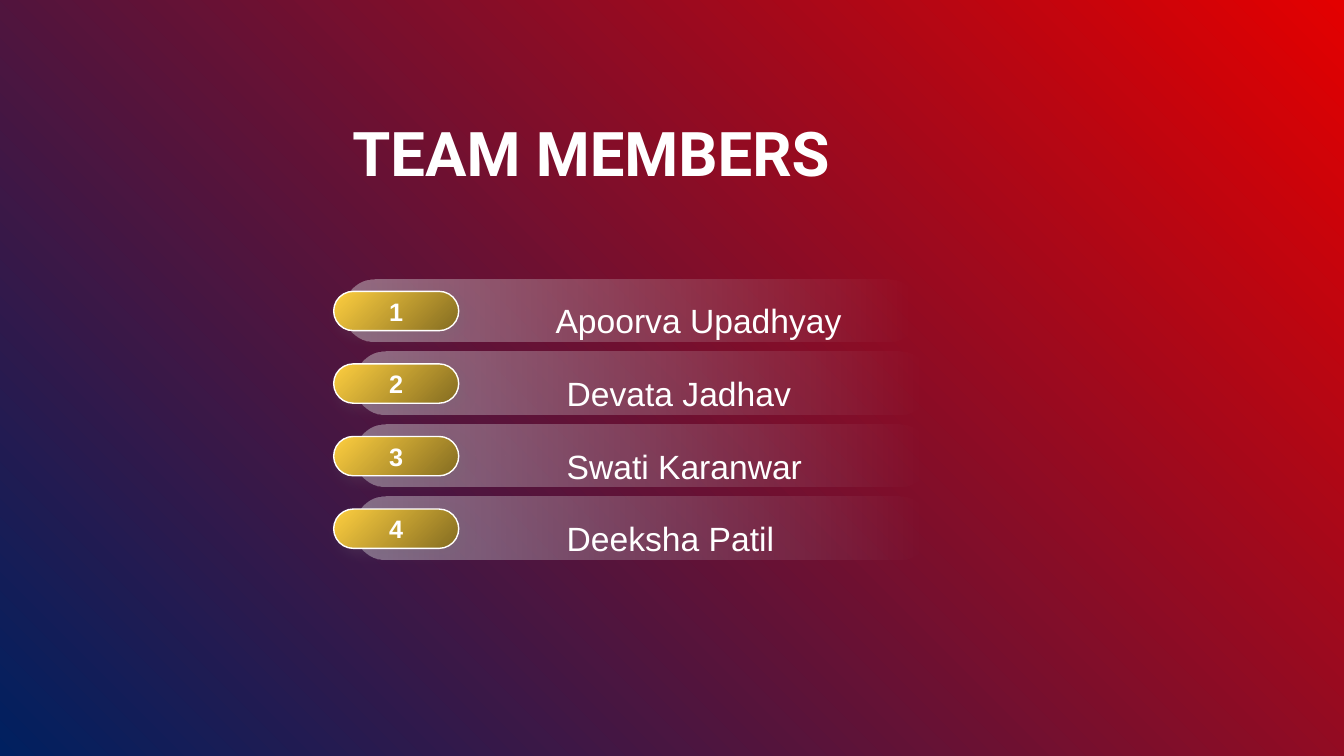
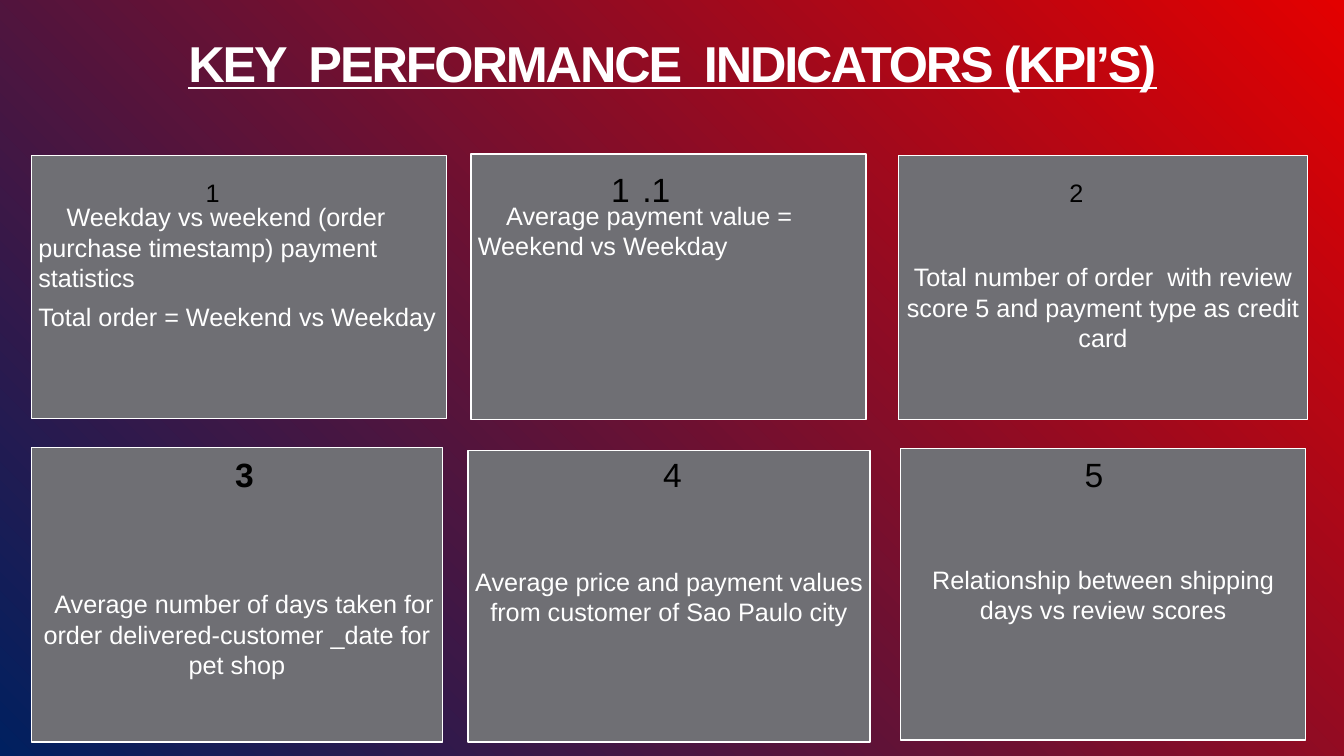
from pptx import Presentation
from pptx.dml.color import RGBColor
from pptx.enum.shapes import MSO_SHAPE as Preset
from pptx.enum.text import MSO_ANCHOR as Anchor, MSO_AUTO_SIZE as AutoSize, PP_ALIGN as Align
from pptx.oxml import parse_xml
from pptx.oxml.ns import nsdecls, qn
from pptx.util import Inches, Pt

RED = RGBColor(0xE3, 0x00, 0x00)
NAVY = RGBColor(0x00, 0x20, 0x60)
WHITE = RGBColor(0xFF, 0xFF, 0xFF)
BLACK = RGBColor(0x00, 0x00, 0x00)
SILVER = RGBColor(0xE2, 0xE2, 0xE3)
GREY = RGBColor(0x6F, 0x6F, 0x74)
GOLD = RGBColor(0xFE, 0xCF, 0x40)
BRONZE = RGBColor(0x84, 0x6C, 0x21)

PADDING = 0.07
EMPTY_LINE = 0.39  # height of one 18 pt line with its gap

MEMBERS = ["Apoorva Upadhyay", "Devata Jadhav", "Swati Karanwar", "Deeksha Patil"]
MEMBER_STEP = 0.72

# place, paragraphs, alignment, anchor, lines left free on top, first-line indent
CARDS = [
    ((0.31, 1.54, 4.12, 2.61),
     ["Weekday vs weekend (order purchase timestamp) payment statistics",
      "Total order = Weekend vs Weekday"], Align.LEFT, Anchor.TOP, 1, 0.28),
    ((4.67, 1.53, 3.92, 2.63),
     ["Average payment value =  Weekend vs Weekday"], Align.LEFT, Anchor.TOP, 1, 0.28),
    ((8.91, 1.54, 4.06, 2.62),
     ["Total number of order  with review score 5 and payment type as credit card"],
     Align.CENTER, Anchor.MIDDLE, 1, 0),
    ((0.31, 4.44, 4.08, 2.92),
     ["Average number of days taken for order delivered-customer _date for pet shop"],
     Align.CENTER, Anchor.MIDDLE, 2, 0.14),
    ((4.64, 4.47, 3.99, 2.89),
     ["Average price and payment values from customer of Sao Paulo city"],
     Align.CENTER, Anchor.MIDDLE, 0, 0),
    ((8.93, 4.45, 4.02, 2.89),
     ["Relationship between shipping days vs review scores"],
     Align.CENTER, Anchor.MIDDLE, 0, 0),
]

# place, text, size, bold, alignment
CARD_NUMBERS = [
    ((10.19, 1.71, 0.97, 0.4), "2", 18, False, Align.CENTER),
    ((2.15, 4.45, 0.55, 0.5), "3", 24, True, Align.CENTER),
    ((6.39, 4.45, 0.56, 0.5), "4", 24, False, Align.CENTER),
    ((10.42, 4.45, 0.86, 0.5), "5", 24, False, Align.CENTER),
    ((1.94, 1.71, 0.39, 0.4), "1", 18, False, Align.LEFT),
]


def set_gradient(fill, colours, angle=0):
    """Fill with a two-colour gradient; the angle runs counter-clockwise."""
    fill.gradient()
    fill.gradient_angle = angle
    for stop, colour in zip(fill.gradient_stops, colours):
        stop.color.rgb = colour


class Deck:
    def __init__(self):
        self.deck = Presentation()
        self.deck.slide_width, self.deck.slide_height = Inches(13.33), Inches(7.5)
        self.page = None

    def add_page(self):
        """Start a slide whose background spreads from the top right corner."""
        self.page = self.deck.slides.add_slide(self.deck.slide_layouts[6])
        fill = self.page.background.fill
        set_gradient(fill, (RED, NAVY))
        background = self.page.background._cSld.find(".//" + qn("a:gradFill"))
        background.replace(background.find(qn("a:lin")), parse_xml(
            f'<a:path {nsdecls("a")} path="circle"><a:fillToRect l="100000" b="100000"/></a:path>'))

    def style(self, para, size, colour=WHITE, bold=False, font="Arial", align=Align.LEFT):
        para.alignment = align
        for span in para.runs:
            span.font.name, span.font.size = font, Pt(size)
            span.font.bold, span.font.color.rgb = bold, colour

    def margins(self, frame, left=0, top=0, right=0, bottom=0):
        frame.word_wrap = True
        frame.margin_left, frame.margin_top = Inches(left), Inches(top)
        frame.margin_right, frame.margin_bottom = Inches(right), Inches(bottom)

    def label(self, place, text, size, **look):
        box = self.page.shapes.add_textbox(*map(Inches, place))
        frame = box.text_frame
        frame.word_wrap = True
        frame.text = text
        self.style(frame.paragraphs[0], size, **look)
        return frame

    def title(self, place, text, size, **look):
        frame = self.label(place, text, size, bold=True, align=Align.CENTER, **look)
        frame.vertical_anchor = Anchor.MIDDLE
        return frame.paragraphs[0].runs[0]

    def number(self, place, text, size, bold, align):
        frame = self.label(place, text, size, colour=BLACK, bold=bold, align=align)
        frame.auto_size = AutoSize.SHAPE_TO_FIT_TEXT
        return frame

    def shape(self, preset, place):
        shape = self.page.shapes.add_shape(preset, *map(Inches, place))
        shape.shadow.inherit = False
        return shape

    def capsule(self, place, text, colours, angle, left=0):
        """Fully rounded bar with a gradient and one line of text."""
        shape = self.shape(Preset.ROUNDED_RECTANGLE, place)
        shape.adjustments[0] = 0.5
        set_gradient(shape.fill, colours, angle)
        frame = shape.text_frame
        self.margins(frame, left)
        frame.vertical_anchor = Anchor.MIDDLE
        frame.text = text
        return shape, frame.paragraphs[0]

    def name_bar(self, place, name):
        shape, para = self.capsule(place, name, (SILVER, SILVER), 180, left=2.01)
        shape.line.fill.background()
        self.style(para, 24)
        para.line_spacing = 1.5
        stops = shape._element.spPr.iter(qn("a:srgbClr"))
        for colour, alpha in zip(stops, (0, 44000)):
            colour.append(parse_xml(f'<a:alpha {nsdecls("a")} val="{alpha}"/>'))

    def badge(self, place, text):
        shape, para = self.capsule(place, text, (GOLD, BRONZE), 315)
        shape.line.color.rgb, shape.line.width = WHITE, Pt(1)
        self.style(para, 18, bold=True, align=Align.CENTER)
        shape._element.spPr.find(qn("a:effectLst")).append(parse_xml(
            f'<a:outerShdw {nsdecls("a")} blurRad="{Pt(10)}" dist="{Pt(5)}" dir="2700000">'
            f'<a:srgbClr val="{GREY}"><a:alpha val="20000"/></a:srgbClr></a:outerShdw>'))

    def card(self, place, texts, align, anchor, free_lines, indent):
        shape = self.shape(Preset.RECTANGLE, place)
        shape.fill.solid()
        shape.fill.fore_color.rgb = GREY
        shape.line.color.rgb, shape.line.width = WHITE, Pt(1)
        frame = shape.text_frame
        self.margins(frame, PADDING, PADDING + free_lines * EMPTY_LINE, PADDING, PADDING)
        frame.vertical_anchor = anchor
        frame.text = "\n".join(texts)
        for para in frame.paragraphs:
            self.style(para, 18, align=align)
            para.space_after = Pt(6.5)
        first = frame.paragraphs[0]._p.get_or_add_pPr()
        first.set("marL", "0")
        first.set("indent", str(Inches(indent)))


def add_team(deck):
    deck.add_page()
    for index, name in enumerate(MEMBERS):
        left = 3.52 if index else 3.41
        deck.name_bar((left, 2.77 + index * MEMBER_STEP, 5.71, 0.62), name)
    for index in range(len(MEMBERS)):
        deck.badge((3.31, 2.89 + index * MEMBER_STEP, 1.24, 0.39), str(index + 1))
    deck.title((2.05, 1.16, 7.63, 0.69), "TEAM MEMBERS", 44, font="Roboto")


def add_indicators(deck):
    deck.add_page()
    heading = deck.title((0.92, 0.24, 11.5, 0.76), "KEY  PERFORMANCE  INDICATORS (KPI’S)", 36)
    heading.font.underline = True
    heading._r.get_or_add_rPr().set("spc", "-150")
    for card in CARDS:
        deck.card(*card)
    for number in CARD_NUMBERS:
        deck.number(*number)

    frame = deck.number((5.88, 1.52, 0.95, 0.64), "1", 24, False, Align.CENTER)
    para = frame.paragraphs[0]
    for text in (" ", ".1"):
        para.add_run().text = text
    deck.style(para, 24, colour=BLACK, align=Align.CENTER)
    para.runs[1].font.size = Pt(32)


def main():
    deck = Deck()
    add_team(deck)
    add_indicators(deck)
    deck.deck.save("out.pptx")


if __name__ == "__main__":
    main()
